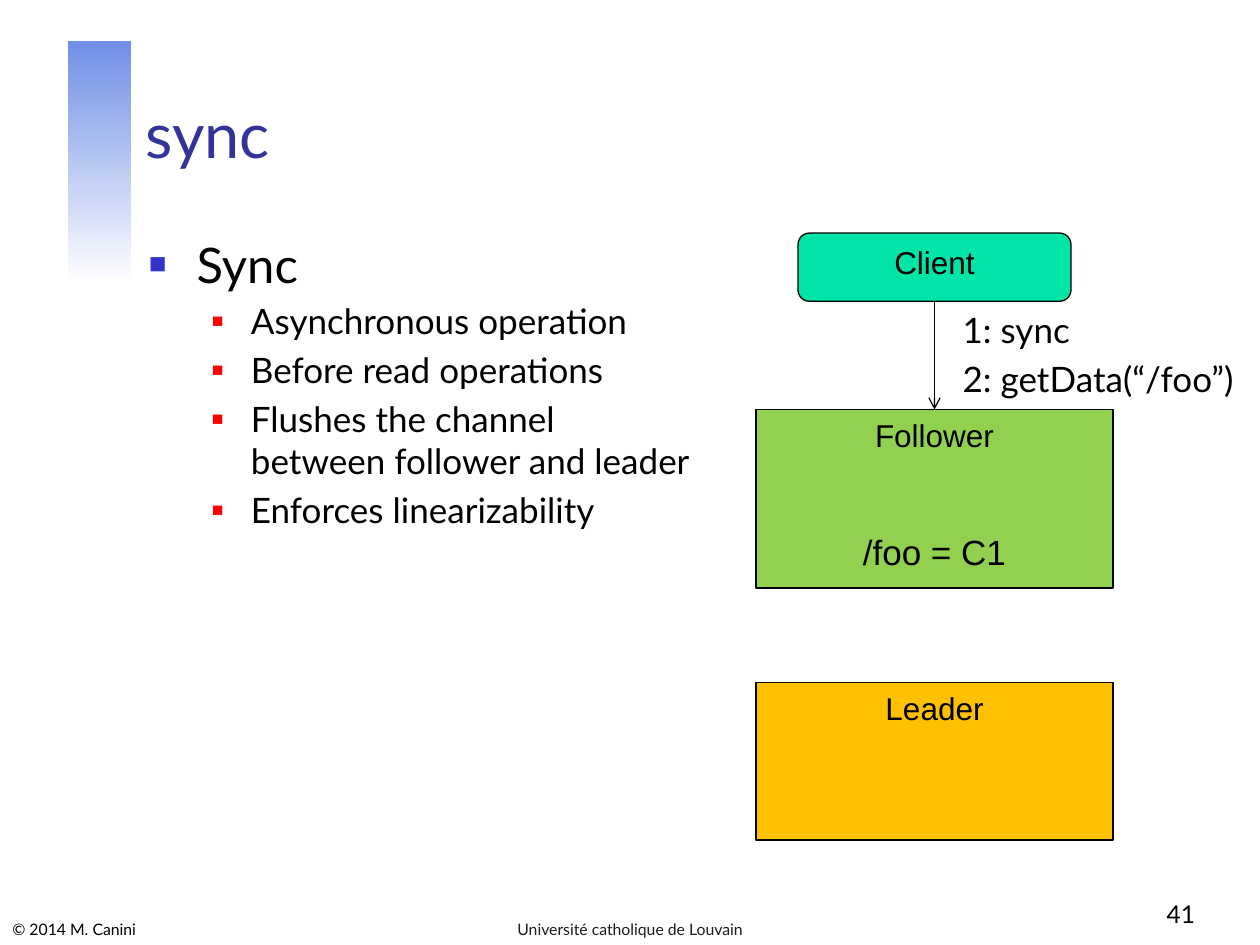
from dataclasses import dataclass

from lxml.etree import SubElement
from pptx import Presentation
from pptx.dml.color import RGBColor
from pptx.enum.shapes import MSO_CONNECTOR, MSO_SHAPE
from pptx.enum.text import MSO_ANCHOR, MSO_AUTO_SIZE, PP_ALIGN
from pptx.oxml.ns import qn
from pptx.util import Inches, Pt

COLUMNS, ROWS = 120, 90
CELL = Inches(10) // COLUMNS
BLACK = "000000"
BOTTOM, TOP = 2, 0


@dataclass(frozen=True)
class Area:
    """A rectangle in grid columns and rows."""
    column: float
    row: float
    columns: float
    rows: float

    def lengths(self) -> list[int]:
        return [round(n * CELL) for n in (self.column, self.row, self.columns, self.rows)]


@dataclass(frozen=True)
class Node:
    label: str
    area: Area
    color: str
    preset: MSO_SHAPE = MSO_SHAPE.RECTANGLE


@dataclass(frozen=True)
class Bullet:
    """Bullet format: indents in inches, size in percent of the text."""
    color: str
    percent: int
    margin: float
    hanging: float


NODES = [
    Node("Client", Area(76, 22.2, 26, 6.5), "00E4A8", MSO_SHAPE.ROUNDED_RECTANGLE),
    Node("Follower", Area(72, 39, 34, 17), "92D050"),
    Node("Leader", Area(72, 65, 34, 15), "FFC000"),
]
MAIN_BULLET = Bullet("3333CC", 60, 0.38, 0.38)
SUB_BULLET = Bullet("FF0000", 55, 0.81, 0.31)
SUB_POINTS = [
    "Asynchronous operation",
    "Before read operations",
    "Flushes the channel\nbetween follower and leader",
    "Enforces linearizability",
]
REQUESTS = ["1: sync", "2: getData(“/foo”)"]


def rgb(color: str) -> RGBColor:
    return RGBColor.from_string(color)


def add_text(frame, text: str, *, size: float, font="Lato", color=BLACK,
             align=PP_ALIGN.LEFT, before: float = 0):
    """Write into the frame's empty first paragraph, or append a new one."""
    para = frame.paragraphs[0] if not frame.text else frame.add_paragraph()
    para.text = text
    para.alignment = align
    para.space_before = Pt(before)
    for span in para.runs:
        span.font.size = Pt(size)
        span.font.name = font
        span.font.color.rgb = rgb(color)
    return para


def set_bullet(para, bullet: Bullet, level: int) -> None:
    para.level = level
    properties = para._p.get_or_add_pPr()
    properties.set("marL", str(Inches(bullet.margin)))
    properties.set("indent", str(-Inches(bullet.hanging)))
    color = SubElement(properties, qn("a:buClr"))
    SubElement(color, qn("a:srgbClr"), val=bullet.color)
    SubElement(properties, qn("a:buSzPct"), val=str(bullet.percent * 1000))
    SubElement(properties, qn("a:buFont"), typeface="Arial")
    SubElement(properties, qn("a:buChar"), char="■")


def add_frame(page, area: Area, *, anchor=MSO_ANCHOR.TOP, wrap=True):
    frame = page.shapes.add_textbox(*area.lengths()).text_frame
    frame.word_wrap = wrap
    frame.vertical_anchor = anchor
    return frame


def add_accent_bar(page) -> None:
    bar = page.shapes.add_shape(MSO_SHAPE.RECTANGLE, *Area(6.5, 3.9, 6, 23.1).lengths())
    bar.shadow.inherit = False
    bar.line.fill.background()
    bar.fill.gradient()
    bar.fill.gradient_angle = 270
    for stop, color, position in zip(bar.fill.gradient_stops, ("708FE6", "FFFFFF"), (0, 1)):
        stop.color.rgb = rgb(color)
        stop.position = position


def add_node(page, node: Node):
    box = page.shapes.add_shape(node.preset, *node.area.lengths())
    box.shadow.inherit = False
    box.fill.solid()
    box.fill.fore_color.rgb = rgb(node.color)
    box.line.color.rgb = rgb(BLACK)
    box.line.width = Pt(0.75)
    box.text_frame.vertical_anchor = MSO_ANCHOR.TOP
    add_text(box.text_frame, node.label, size=18, font="Arial", align=PP_ALIGN.CENTER)
    return box


def add_arrow(page, source, target) -> None:
    arrow = page.shapes.add_connector(MSO_CONNECTOR.STRAIGHT, 0, 0, 0, 0)
    arrow.begin_connect(source, BOTTOM)
    arrow.end_connect(target, TOP)
    arrow.line.color.rgb = rgb(BLACK)
    arrow.line.width = Pt(0.75)
    SubElement(arrow.line._get_or_add_ln(), qn("a:tailEnd"), type="arrow")
    SubElement(arrow._element.spPr, qn("a:effectLst"))


def add_points(page) -> None:
    frame = add_frame(page, Area(13, 21.7, 102, 59.5))
    set_bullet(add_text(frame, "Sync", size=28, before=5.6), MAIN_BULLET, 0)
    for point in SUB_POINTS:
        set_bullet(add_text(frame, point, size=20, before=4), SUB_BULLET, 1)


def add_diagram(page) -> None:
    client, follower, _ = [add_node(page, node) for node in NODES]
    add_text(follower.text_frame, "/foo = C1", size=20, font="Arial",
             align=PP_ALIGN.CENTER, before=44)
    add_arrow(page, client, follower)
    frame = add_frame(page, Area(90.5, 28.8, 29.5, 10.1), wrap=False)
    frame.auto_size = MSO_AUTO_SIZE.SHAPE_TO_FIT_TEXT
    for request in REQUESTS:
        add_text(frame, request, size=20, before=4)


def add_line_of_text(page, text: str, area: Area, **text_format) -> None:
    """Place one line of text at the bottom of its area."""
    add_text(add_frame(page, area, anchor=MSO_ANCHOR.BOTTOM), text, **text_format)


def main() -> None:
    deck = Presentation()
    deck.slide_width, deck.slide_height = COLUMNS * CELL, ROWS * CELL
    page = deck.slides.add_slide(deck.slide_layouts[6])
    add_accent_bar(page)
    add_line_of_text(page, "sync", Area(12.7, 4, 102.3, 12.9), size=36, color="333399")
    add_points(page)
    add_diagram(page)
    add_line_of_text(page, "© 2014 M. Canini", Area(0, 86.6, 36.2, 3.4), size=9)
    add_line_of_text(page, "Université catholique de Louvain", Area(41, 86.6, 38, 3.4),
                     size=9, color="1C1C1C", align=PP_ALIGN.CENTER)
    add_line_of_text(page, "41", Area(90, 83, 25, 6), size=14, align=PP_ALIGN.RIGHT)
    deck.save("out.pptx")


if __name__ == "__main__":
    main()
